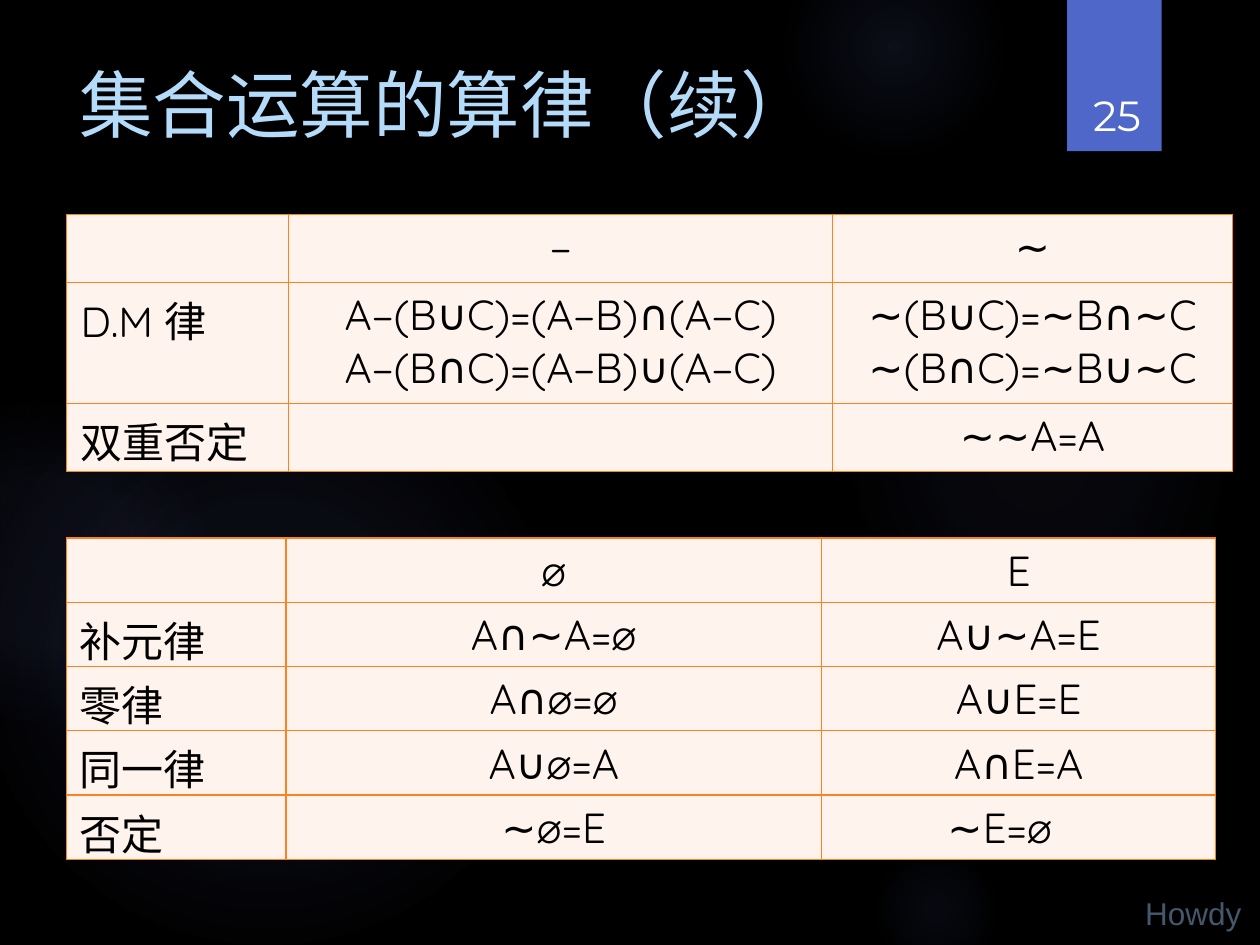
from dataclasses import dataclass

from lxml import etree
from pptx import Presentation
from pptx import util as u
from pptx.dml.color import RGBColor
from pptx.enum import shapes, text
from pptx.oxml import ns

Inches = u.Inches


@dataclass(frozen=True)
class Theme:
    back: str = "000000"
    glow: str = "5968B0"
    badge: str = "4E67C8"
    title: str = "B4DCFA"
    cell: str = "FFF3EE"
    border: str = "FF8021"
    ink: str = "000000"
    white: str = "FFFFFF"
    footer: str = "45576C"
    font: str = "Quicksand"
    number_font: str = "Montserrat"
    footer_font: str = "Arial"
    title_size: int = 42
    body_size: int = 24
    footer_size: int = 18
    line: float = 0.75


T = Theme()
CENTER, LEFT = text.PP_ALIGN.CENTER, text.PP_ALIGN.LEFT


def rgb(value):
    return RGBColor.from_string(value)


def sub(parent, tag, **attrs):
    return etree.SubElement(parent, ns.qn(tag), {k: str(v) for k, v in attrs.items()})


def color(parent, value, alpha=None):
    node = sub(parent, "a:srgbClr", val=value)
    if alpha is not None:
        sub(node, "a:alpha", val=alpha * 1000)


def write(p, words, name, size, fill, align=LEFT):
    p.alignment = align
    r = p.add_run()
    r.text = words
    for key, value in {"name": name, "size": u.Pt(size)}.items():
        setattr(r.font, key, value)
    r.font.color.rgb = rgb(fill)


def add_label(s, box, words, name, size, fill, align=LEFT,
              anchor=text.MSO_ANCHOR.TOP, spacing=1.0):
    tf = s.shapes.add_textbox(*map(Inches, box)).text_frame
    for key, value in {"word_wrap": True, "vertical_anchor": anchor}.items():
        setattr(tf, key, value)
    p = tf.paragraphs[0]
    p.line_spacing = spacing
    write(p, words, name, size, fill, align)


# Background: soft round glows, each fading out towards its edge
def add_glow(s, left, top, size, stops):
    sp = s.shapes.add_shape(shapes.MSO_SHAPE.OVAL,
                            *map(Inches, (left, top, size, size)))
    sp.shadow.inherit = False
    sp.line.fill.background()
    sp.fill.gradient()
    grad = sp._element.spPr.find(ns.qn("a:gradFill"))
    for child in list(grad):
        grad.remove(child)
    stop_list = sub(grad, "a:gsLst")
    for pos, alpha in stops:
        color(sub(stop_list, "a:gs", pos=pos * 1000), T.glow, alpha)
    path = sub(grad, "a:path", path="circle")
    sub(path, "a:fillToRect", l=50000, t=50000, r=50000, b=50000)


def add_background(s):
    s.background.fill.solid()
    s.background.fill.fore_color.rgb = rgb(T.back)
    for left, top, size, inner, middle, edge in (
            (6.7, 2.12, 3.08, 7, 6, 69),
            (6.22, -0.5, 1.75, 14, 7, 73),
            (6.89, 6.67, 1.08, 9, 5, 66),
            (-0.17, 2.92, 4.58, 11, 10, 75),
            (-0.92, 3.17, 2.58, 8, 8, 72)):
        add_glow(s, left, top, size, ((0, inner), (36, middle), (edge, 0)))


# Page number on its hanging ribbon
def add_page_badge(s, box, number):
    left, top, width, height = box
    sp = s.shapes.add_shape(shapes.MSO_SHAPE.RECTANGLE, *map(Inches, box))
    sp.shadow.inherit = False
    sp.fill.solid()
    sp.fill.fore_color.rgb = rgb(T.badge)
    sp.line.fill.background()
    add_label(s, (left + 0.05, top + 0.32, width - 0.06, height - 0.36), number,
              T.number_font, T.body_size, T.white, CENTER, text.MSO_ANCHOR.BOTTOM)


def style_cell(cell, margin):
    cell.fill.solid()
    cell.fill.fore_color.rgb = rgb(T.cell)
    for side in ("margin_left", "margin_right"):
        setattr(cell, side, Inches(margin))
    tc_pr = cell._tc.get_or_add_tcPr()
    for i, tag in enumerate(("a:lnL", "a:lnR", "a:lnT", "a:lnB")):
        ln = sub(tc_pr, tag, w=u.Pt(T.line))
        color(sub(ln, "a:solidFill"), T.border)
        tc_pr.insert(i, ln)


def indent(p, left, first):
    p_pr = p._p.get_or_add_pPr()
    p_pr.set("marL", str(Inches(left)))
    p_pr.set("indent", str(Inches(first)))


# Table of laws: names on the left, centred formulas beside them
def add_law_table(s, box, widths, heights, rows, margin):
    frame = s.shapes.add_table(len(heights), len(widths), *map(Inches, box))
    table = frame.table
    table.first_row = table.horz_banding = False
    for col, width in zip(table.columns, widths):
        col.width = Inches(width)
    for row, height in zip(table.rows, heights):
        row.height = Inches(height)
    for i, row in enumerate(rows):
        for j, words in enumerate(row):
            cell = table.cell(i, j)
            style_cell(cell, margin)
            if not words:
                continue
            tf = cell.text_frame
            for k, line in enumerate(words.split("\n")):
                p = tf.add_paragraph() if k else tf.paragraphs[0]
                indent(p, 0.38, -0.38)
                write(p, line, T.font, T.body_size, T.ink, CENTER if j else LEFT)
    return table


DIFFERENCE_LAWS = (
    ("", "−", "∼"),
    ("D.M 律", "A−(B∪C)=(A−B)∩(A−C)\nA−(B∩C)=(A−B)∪(A−C)",
     "∼(B∪C)=∼B∩∼C\n∼(B∩C)=∼B∪∼C"),
    ("双重否定", "", "∼∼A=A"),
)
CONSTANT_LAWS = (
    ("", "∅", "E"),
    ("补元律", "A∩∼A=∅", "A∪∼A=E"),
    ("零律", "A∩∅=∅", "A∪E=E"),
    ("同一律", "A∪∅=A", "A∩E=A"),
    ("否定", "∼∅=E", "∼E=∅"),
)


def main():
    prs = Presentation()
    prs.slide_width, prs.slide_height = Inches(10), Inches(7.5)
    s = prs.slides.add_slide(prs.slide_layouts[6])
    add_background(s)
    add_page_badge(s, (8.47, 0, 0.75, 1.2), "25")
    add_label(s, (8.99, 7.05, 1.08, 0.4), "Howdy",
              T.footer_font, T.footer_size, T.footer)
    add_label(s, (0.53, 0.5, 7.72, 1), "集合运算的算律（续）",
              T.font, T.title_size, T.title, spacing=0.9)
    add_law_table(s, (0.53, 1.7, 9.26, 2.04), (1.76, 4.32, 3.17),
                  (0.54, 0.96, 0.54), DIFFERENCE_LAWS, 0.11)
    table = add_law_table(s, (0.53, 4.27, 9.12, 2.53), (1.74, 4.25, 3.13),
                          [0.51] * 5, CONSTANT_LAWS, 0.1)
    # The last formula is indented from the left instead of centred
    p = table.cell(4, 2).text_frame.paragraphs[0]
    p.alignment = LEFT
    indent(p, 0.9, 0)
    prs.save("out.pptx")


if __name__ == "__main__":
    main()
